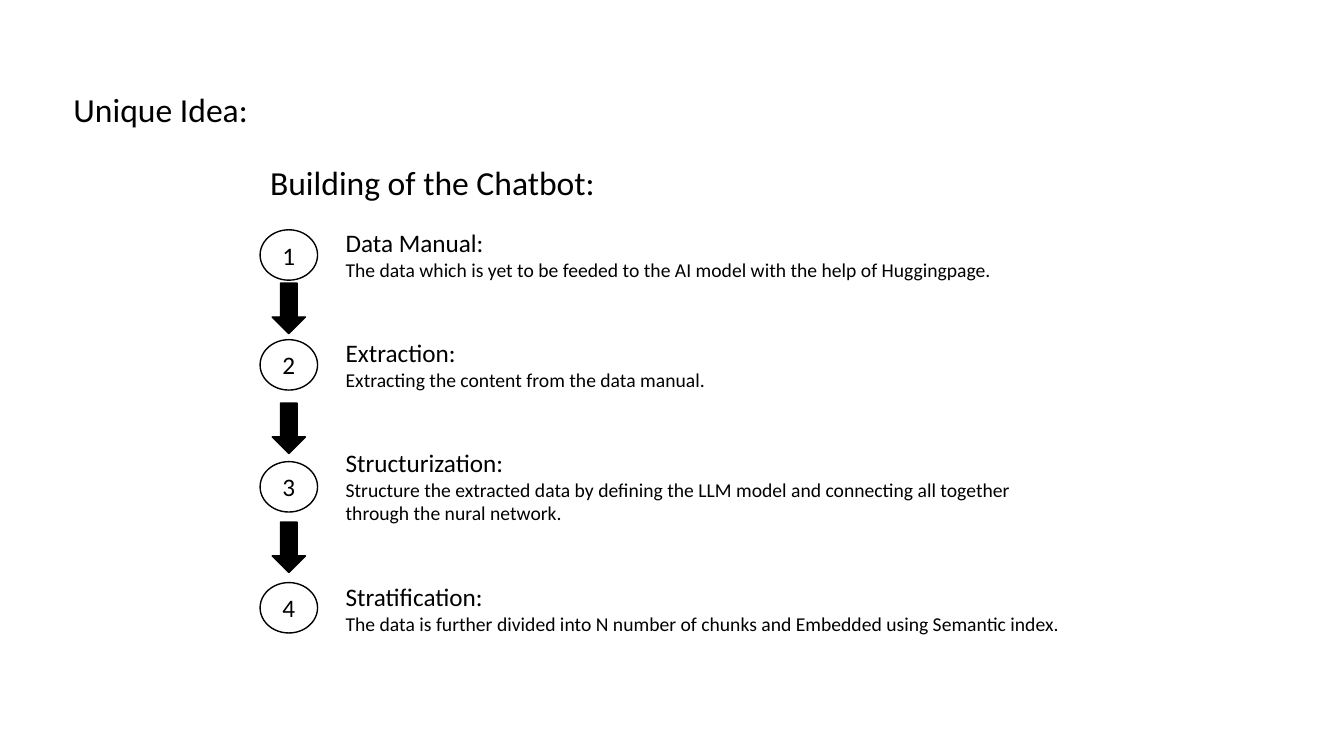
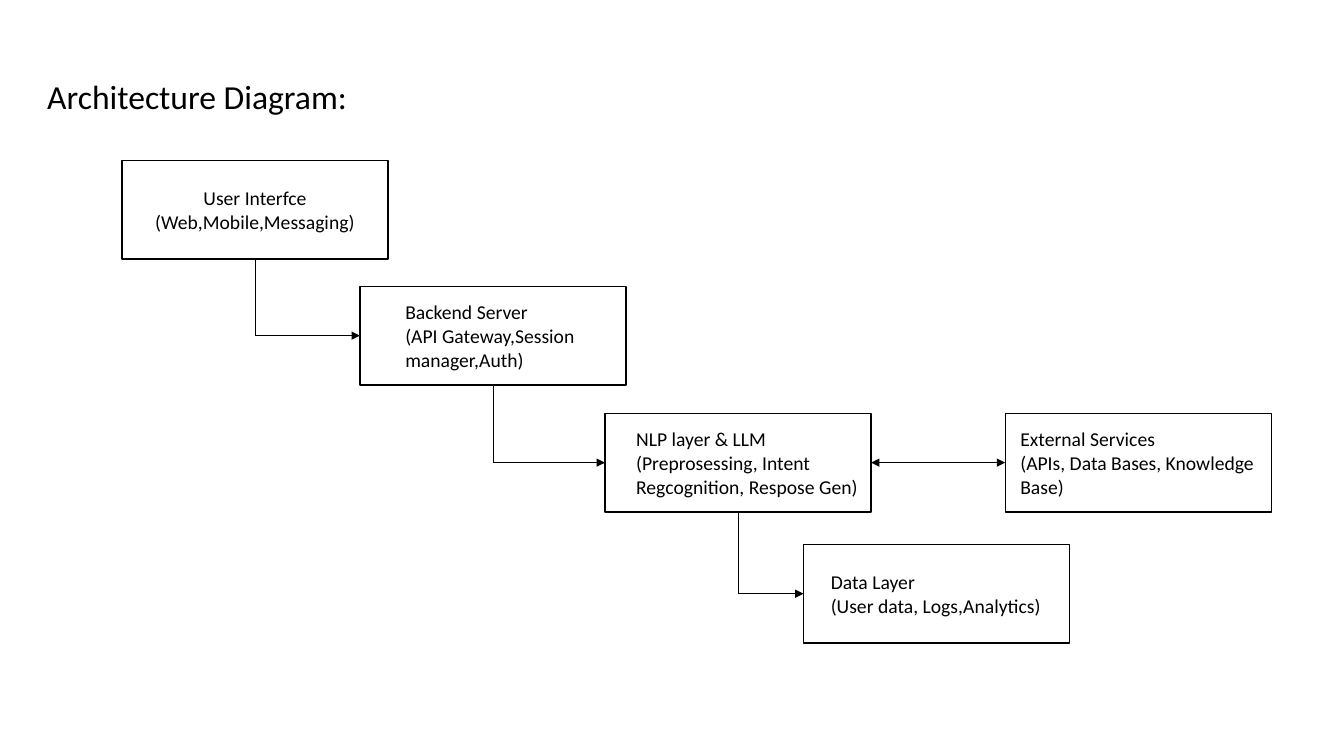
from dataclasses import dataclass

from lxml import etree
from pptx import Presentation
from pptx.dml.color import RGBColor
from pptx.enum.shapes import MSO_CONNECTOR, MSO_SHAPE
from pptx.enum.text import MSO_ANCHOR, MSO_AUTO_SIZE, PP_ALIGN
from pptx.oxml.ns import qn
from pptx.util import Inches, Pt

OVAL = MSO_SHAPE.OVAL
RECTANGLE = MSO_SHAPE.RECTANGLE
DOWN_ARROW = MSO_SHAPE.DOWN_ARROW
STRAIGHT = MSO_CONNECTOR.STRAIGHT
MIDDLE = MSO_ANCHOR.MIDDLE
GROW = MSO_AUTO_SIZE.SHAPE_TO_FIT_TEXT
LEFT, CENTER = PP_ALIGN.LEFT, PP_ALIGN.CENTER
SIDE_LEFT, SIDE_BOTTOM, SIDE_RIGHT = 1, 2, 3


@dataclass(frozen=True)
class Theme:
    font: str = "Calibri"
    ink: RGBColor = RGBColor(0, 0, 0)
    title: int = 24
    heading: int = 18
    body: int = 14
    outline: float = 1
    connector: float = 0.5


class SlideBuilder:
    def __init__(self, deck, theme):
        self.deck = deck
        self.theme = theme
        self.page = None

    def new_page(self):
        self.page = self.deck.slides.add_slide(self.deck.slide_layouts[6])

    def set_lines(self, frame, lines, sizes, align=LEFT):
        for index, (line, size) in enumerate(zip(lines, sizes)):
            para = frame.paragraphs[0] if index == 0 else frame.add_paragraph()
            para.text = line
            para.alignment = align
            para.font.name = self.theme.font
            para.font.size = Pt(size)
            para.font.color.rgb = self.theme.ink

    def text(self, left, top, width, height, lines, sizes, wrap=False):
        box = self.page.shapes.add_textbox(
            Inches(left), Inches(top), Inches(width), Inches(height))
        box.text_frame.word_wrap = wrap
        box.text_frame.auto_size = GROW
        self.set_lines(box.text_frame, lines, sizes)

    def title(self, left, top, width, line):
        self.text(left, top, width, 0.5, [line], [self.theme.title])

    def shape(self, kind, left, top, width, height, filled=False):
        shape = self.page.shapes.add_shape(
            kind, Inches(left), Inches(top), Inches(width), Inches(height))
        shape.shadow.inherit = False
        if filled:
            shape.fill.solid()
            shape.fill.fore_color.rgb = self.theme.ink
        else:
            shape.fill.background()
        shape.line.color.rgb = self.theme.ink
        shape.line.width = Pt(self.theme.outline)
        return shape

    def labelled(self, kind, left, top, width, height, lines, size,
                 indent=0, align=CENTER):
        shape = self.shape(kind, left, top, width, height)
        frame = shape.text_frame
        frame.word_wrap = True
        frame.vertical_anchor = MIDDLE
        frame.margin_left = Inches(indent)
        frame.margin_right = frame.margin_top = frame.margin_bottom = 0
        self.set_lines(frame, lines, [size] * len(lines), align)
        return shape

    def line(self, start, end, heads=()):
        line = self.page.shapes.add_connector(STRAIGHT, *start, *end)
        line.line.color.rgb = self.theme.ink
        line.line.width = Pt(self.theme.connector)
        properties = line.element.spPr
        for head in heads:
            etree.SubElement(properties.find(qn("a:ln")), qn(head), type="triangle")
        etree.SubElement(properties, qn("a:effectLst"))
        return line

    def step_down(self, source, target):
        x = source.left + source.width // 2
        y = target.top + target.height // 2
        corner = (x, y)
        drop = self.line((x, source.top + source.height), corner)
        drop.begin_connect(source, SIDE_BOTTOM)
        reach = self.line(corner, (target.left, y), ["a:tailEnd"])
        reach.end_connect(target, SIDE_LEFT)

    def two_way(self, source, target):
        y = source.top + source.height // 2
        link = self.line((source.left + source.width, y), (target.left, y),
                         ["a:headEnd", "a:tailEnd"])
        link.begin_connect(source, SIDE_RIGHT)
        link.end_connect(target, SIDE_LEFT)


def build_idea(builder):
    theme = builder.theme
    builder.new_page()
    builder.title(0.63, 0.83, 1.95, "Unique Idea:")
    builder.title(2.58, 1.56, 3.45, "Building of the Chatbot:")
    steps = [
        (2.28, 2.21, 6.67, 0.64, "Data Manual:",
         "The data which is yet to be feeded to the AI model with the help of Huggingpage."),
        (3.37, 3.3, 3.91, 0.64, "Extraction:",
         "Extracting the content from the data manual."),
        (4.58, 4.39, 7.24, 0.88, "Structurization:",
         "Structure the extracted data by defining the LLM model and connecting all "
         "together through the nural network."),
        (5.78, 5.72, 7.3, 0.64, "Stratification:",
         "The data is further divided into N number of chunks and Embedded using "
         "Semantic index."),
    ]
    for number, (circle_top, top, width, height, *lines) in enumerate(steps, 1):
        builder.labelled(OVAL, 2.58, circle_top, 0.57, 0.5, [str(number)], theme.heading)
        builder.text(3.33, top, width, height, lines, [theme.heading, theme.body],
                     wrap=height > 0.64)
    for top in (2.81, 4, 5.18):
        builder.shape(DOWN_ARROW, 2.7, top, 0.33, 0.5, filled=True)


def build_architecture(builder):
    builder.new_page()
    builder.title(0.37, 0.7, 3.2, "Architecture Diagram:")
    layers = [
        (1.21, 1.59, 0, CENTER, ["User Interfce", "(Web,Mobile,Messaging)"]),
        (3.57, 2.84, 0.45, LEFT,
         ["Backend Server", "(API Gateway,Session", "manager,Auth)"]),
        (6, 4.1, 0.31, LEFT,
         ["NLP layer & LLM", "(Preprosessing, Intent", "Regcognition, Respose Gen)"]),
        (7.97, 5.4, 0.27, LEFT, ["Data Layer", "(User data, Logs,Analytics)"]),
        (9.97, 4.1, 0.15, LEFT,
         ["External Services", "(APIs, Data Bases, Knowledge", "Base)"]),
    ]
    boxes = [
        builder.labelled(RECTANGLE, left, top, 2.64, 0.98, lines,
                         builder.theme.body, indent, align)
        for left, top, indent, align, lines in layers
    ]
    *stairs, external = boxes
    for source, target in zip(stairs, stairs[1:]):
        builder.step_down(source, target)
    builder.two_way(stairs[2], external)


def main():
    deck = Presentation()
    deck.slide_width = Inches(13.33)
    deck.slide_height = Inches(7.5)
    builder = SlideBuilder(deck, Theme())
    build_idea(builder)
    build_architecture(builder)
    deck.save("out.pptx")


if __name__ == "__main__":
    main()
